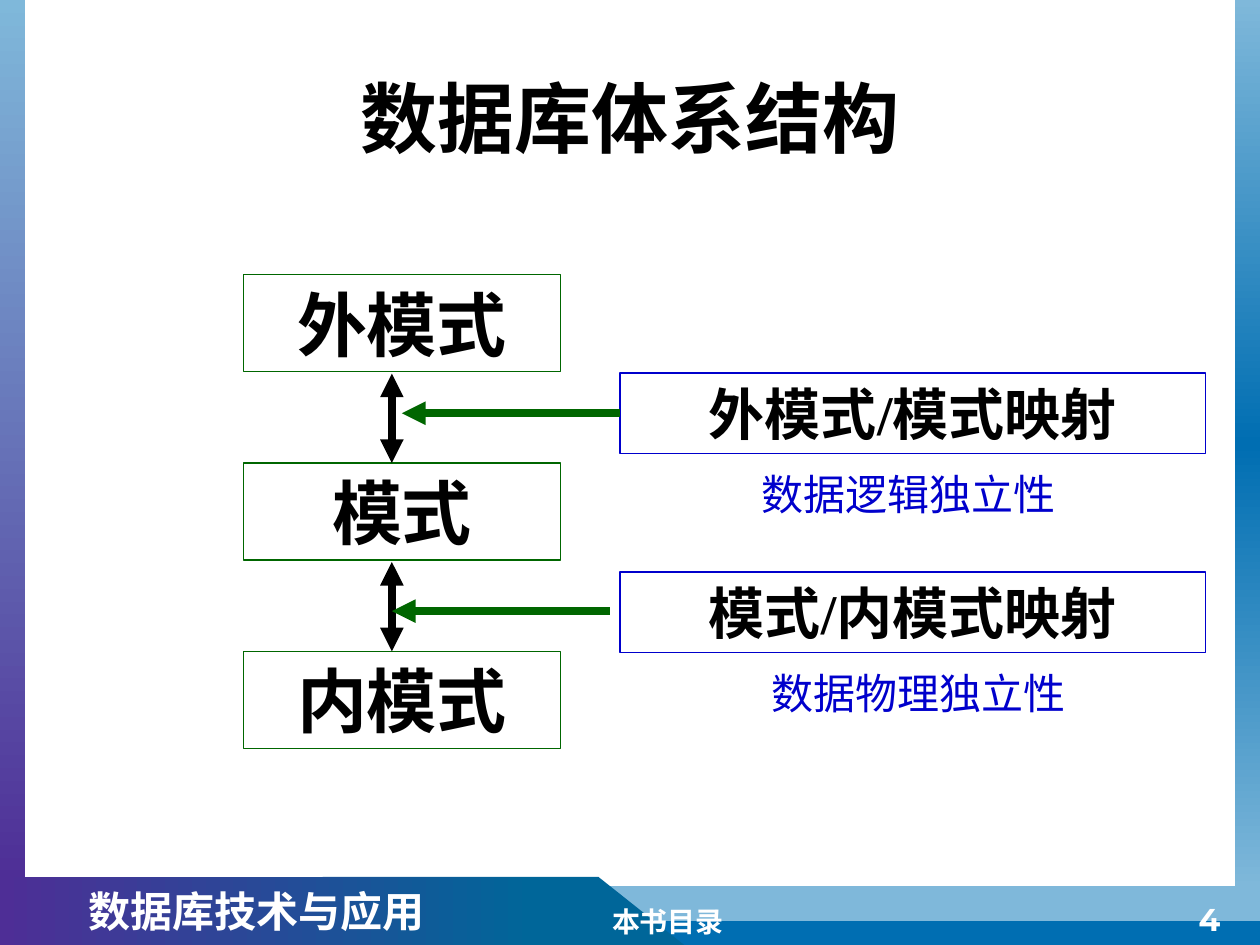
from pptx import Presentation
from pptx.dml.color import RGBColor
from pptx.enum.shapes import MSO_CONNECTOR, MSO_SHAPE
from pptx.enum.text import MSO_ANCHOR, PP_ALIGN
from pptx.oxml import parse_xml
from pptx.oxml.ns import nsdecls
from pptx.oxml.xmlchemy import OxmlElement
from pptx.util import Inches, Pt

RECT, SLANT = MSO_SHAPE.RECTANGLE, MSO_SHAPE.PARALLELOGRAM
LINE = MSO_CONNECTOR.STRAIGHT
MID = MSO_ANCHOR.MIDDLE
LEFT, CENTER = PP_ALIGN.LEFT, PP_ALIGN.CENTER
SERIF, SANS, HEAD = "Times New Roman", "Arial", "Montserrat"
CJK = "Noto Sans CJK SC"
HEX = {
    "black": "000000", "white": "FFFFFF", "green": "006600",
    "ink": "0000CC", "sky": "7FB8DA", "blue": "006EB2",
    "teal": "006699", "violet": "4E2E96",
}


def color(name):
    return RGBColor.from_string(HEX[name])


def add_text(shape, text, size, font, tint, bold=True, align=CENTER):
    frame = shape.text_frame
    frame.word_wrap = True
    frame.vertical_anchor = MID
    par = frame.paragraphs[0]
    par.text = text
    par.alignment = align
    par.font.size = Pt(size)
    par.font.name = font
    par.font.bold = bold
    par.font.color.rgb = color(tint)


def add_label(slide, box, *style, **more):
    label = slide.shapes.add_textbox(*map(Inches, box))
    add_text(label, *style, **more)


def add_form(slide, kind, box):
    form = slide.shapes.add_shape(kind, *map(Inches, box))
    form.shadow.inherit = False
    form.line.fill.background()
    return form


def add_blend(slide, box, tints, angle):
    """Rectangle with evenly spaced gradient stops."""
    form = add_form(slide, RECT, box)
    step = 100000 // (len(tints) - 1)
    stops = "".join(
        f'<a:gs pos="{i * step}"><a:srgbClr val="{HEX[tint]}"/></a:gs>'
        for i, tint in enumerate(tints))
    form.element.spPr.insert(2, parse_xml(
        f'<a:gradFill {nsdecls("a")} rotWithShape="1">'
        f'<a:gsLst>{stops}</a:gsLst>'
        f'<a:lin ang="{angle * 60000}" scaled="0"/></a:gradFill>'))
    return form


def add_frame(slide, box, edge, text, size):
    form = add_form(slide, RECT, box)
    form.fill.background()
    form.line.color.rgb = color(edge)
    form.line.width = Pt(0.75)
    add_text(form, text, size, SERIF, "black")


def add_line(slide, ends, tint, width, heads=()):
    line = slide.shapes.add_connector(LINE, *map(Inches, ends))
    line.line.color.rgb = color(tint)
    line.line.width = Pt(width)
    for tag in heads:
        head = OxmlElement(f"a:{tag}")
        head.set("type", "triangle")
        line.line._get_or_add_ln().append(head)
    line._element.spPr.append(OxmlElement("a:effectLst"))


def add_border(slide):
    # Bottom stripes and slanted end of the footer
    add_line(slide, (4.83, 7.42, 10, 7.42), "blue", 16)
    add_line(slide, (4.58, 7.17, 10, 7.17), "sky", 20)
    slant = add_form(slide, SLANT, (2.56, 6.96, 2.92, 0.58))
    slant.adjustments[0] = 1.26
    slant.element.spPr.xfrm.set("flipV", "1")
    slant.fill.solid()
    slant.fill.fore_color.rgb = color("teal")

    # Side bars
    add_blend(slide, (0, 0, 0.2, 7.01), ("sky", "violet"), 90)
    add_blend(slide, (9.8, 0, 0.2, 7.05), ("sky", "blue", "sky"), 90)

    # Footer texts
    add_label(slide, (4.76, 7.13, 1.14, 0.37), "本书目录", 16, SERIF,
              "white", align=LEFT)
    add_label(slide, (9.2, 7.08, 0.8, 0.42), "4", 18, HEAD, "white")
    bar = add_blend(slide, (0, 6.96, 4.25, 0.54), ("violet", "teal"), 0)
    add_text(bar, "数据库技术与应用", 24, SANS, "white", align=LEFT)
    bar.text_frame.margin_left = Inches(0.7)


def main():
    deck = Presentation()
    deck.slide_width, deck.slide_height = Inches(10), Inches(7.5)
    slide = deck.slides.add_slide(deck.slide_layouts[6])
    add_border(slide)
    add_label(slide, (0.5, 0.3, 9, 1.25), "数据库体系结构", 44, HEAD, "black")

    # Three schema levels with two-way arrows between them
    top, pitch = 2.18, 1.495
    for i, name in enumerate(("外模式", "模式", "内模式")):
        y = top + i * pitch
        add_frame(slide, (1.93, y, 2.52, 0.77), "green", name, 40)
        if i:
            add_line(slide, (3.11, y - 0.71, 3.11, y), "black", 4.5,
                     ("headEnd", "tailEnd"))

    # Mappings, their arrows and the independence each one gives
    maps = (
        (2.96, "外模式/模式映射", 4.92, 3.28, 5.16, "数据逻辑独立性"),
        (4.54, "模式/内模式映射", 4.84, 4.85, 5.24, "数据物理独立性"),
    )
    for y, name, start, mid, left, gain in maps:
        add_frame(slide, (4.92, y, 4.65, 0.64), "ink", name, 32)
        add_line(slide, (start, mid, start - 1.73, mid), "green", 4.5,
                 ("tailEnd",))
        add_label(slide, (left, y + 0.71, 4.1, 0.5), gain, 24, CJK, "ink",
                  bold=False)

    deck.save("out.pptx")


if __name__ == "__main__":
    main()
